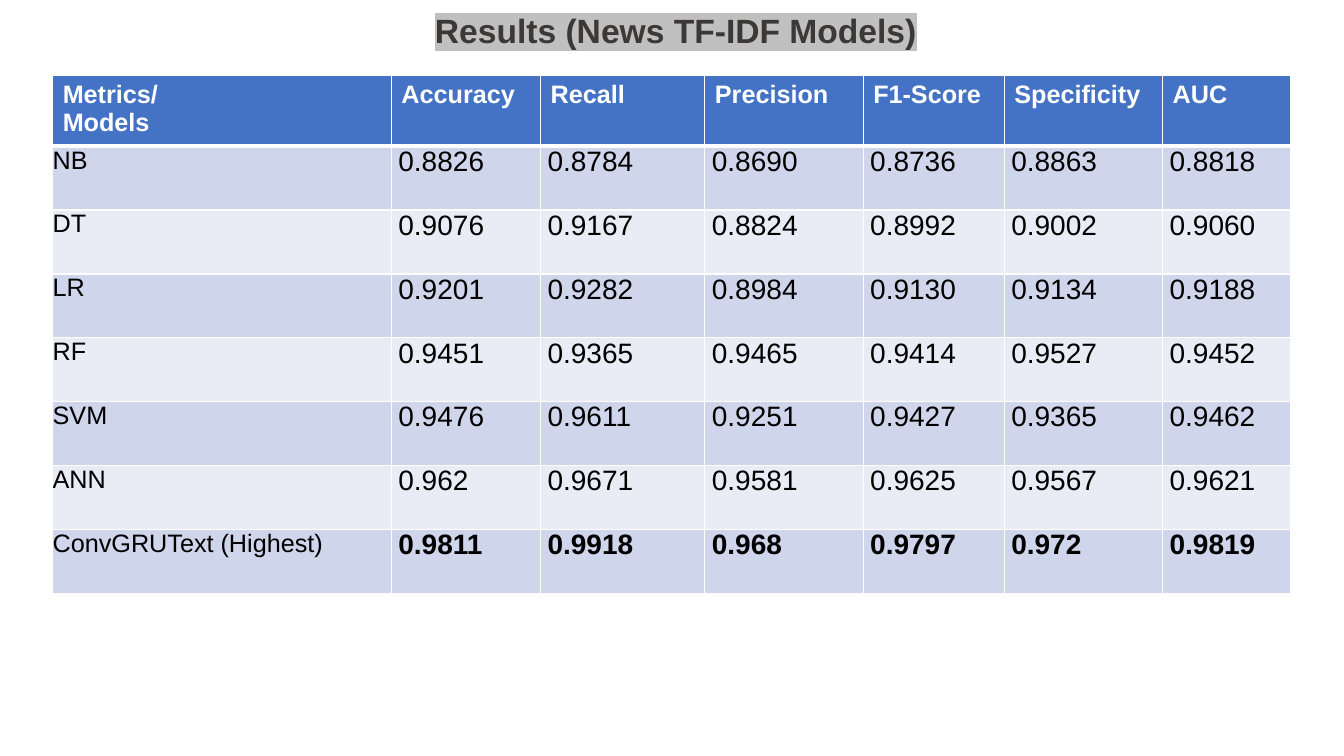
import pptx
import pptx.dml.color
import pptx.enum.text
import pptx.oxml.ns
import pptx.util
import lxml.etree

WHITE = pptx.dml.color.RGBColor(0xFF, 0xFF, 0xFF)
BLACK = pptx.dml.color.RGBColor(0x00, 0x00, 0x00)
TITLE_GREY = pptx.dml.color.RGBColor(0x3B, 0x38, 0x38)
HIGHLIGHT_GREY = pptx.dml.color.RGBColor(0xC0, 0xC0, 0xC0)
HEADER_BLUE = pptx.dml.color.RGBColor(0x44, 0x72, 0xC4)
BAND_COLORS = (
    pptx.dml.color.RGBColor(0xCF, 0xD5, 0xEA),
    pptx.dml.color.RGBColor(0xE9, 0xEB, 0xF5),
)
ALIGN = pptx.enum.text.PP_ALIGN

HEADER = ["Metrics/\nModels", "Accuracy", "Recall", "Precision", "F1-Score", "Specificity", "AUC"]
RESULTS = [
    ["NB", "0.8826", "0.8784", "0.8690", "0.8736", "0.8863", "0.8818"],
    ["DT", "0.9076", "0.9167", "0.8824", "0.8992", "0.9002", "0.9060"],
    ["LR", "0.9201", "0.9282", "0.8984", "0.9130", "0.9134", "0.9188"],
    ["RF", "0.9451", "0.9365", "0.9465", "0.9414", "0.9527", "0.9452"],
    ["SVM", "0.9476", "0.9611", "0.9251", "0.9427", "0.9365", "0.9462"],
    ["ANN", "0.962", "0.9671", "0.9581", "0.9625", "0.9567", "0.9621"],
    ["ConvGRUText (Highest)", "0.9811", "0.9918", "0.968", "0.9797", "0.972", "0.9819"],
]
COLUMN_PERCENTS = [25.2, 11.1, 12.23, 11.78, 10.5, 11.78, 9.52]
ROW_PERCENT = 8.45


def add_color(parent, tag, color):
    element = lxml.etree.SubElement(parent, pptx.oxml.ns.qn(tag))
    lxml.etree.SubElement(element, pptx.oxml.ns.qn("a:srgbClr"), val=str(color))
    return element


def write_text(frame, text, size=18, color=BLACK, bold=False, align=ALIGN.LEFT,
               space_after=0, highlight=None, font="Arial"):
    for index, line in enumerate(text.split("\n")):
        paragraph = frame.add_paragraph() if index else frame.paragraphs[0]
        paragraph.alignment = align
        paragraph.space_after = pptx.util.Pt(space_after)
        run = paragraph.add_run()
        run.text = line
        run.font.size = pptx.util.Pt(size)
        run.font.bold = bold
        run.font.color.rgb = color
        if highlight is not None:
            add_color(run.font._element, "a:highlight", highlight)
        run.font.name = font


class SlideBuilder:
    def __init__(self, presentation):
        self.width = presentation.slide_width
        self.height = presentation.slide_height
        self.slide = presentation.slides.add_slide(presentation.slide_layouts[6])

    def across(self, percent):
        return round(self.width * percent / 100)

    def down(self, percent):
        return round(self.height * percent / 100)

    def title(self, text, left, top, width, height):
        shape = self.slide.shapes.add_textbox(
            self.across(left), self.down(top), self.across(width), self.down(height))
        frame = shape.text_frame
        frame.word_wrap = True
        frame.margin_left = frame.margin_right = frame.margin_top = frame.margin_bottom = 0
        write_text(frame, text, size=24, color=TITLE_GREY, bold=True,
                   align=ALIGN.CENTER, highlight=HIGHLIGHT_GREY)

    def borders(self, cell, top=1, bottom=1):
        properties = cell._tc.get_or_add_tcPr()
        for side, points in (("L", 1), ("R", 1), ("T", top), ("B", bottom)):
            line = lxml.etree.SubElement(
                properties, pptx.oxml.ns.qn(f"a:ln{side}"), w=str(pptx.util.Pt(points)))
            add_color(line, "a:solidFill", WHITE)

    def cell(self, cell, fill, top=1, bottom=1):
        self.borders(cell, top, bottom)
        cell.fill.solid()
        cell.fill.fore_color.rgb = fill

    def results_table(self, left, top, header, results, columns, row):
        row_count = len(results) + 1
        table = self.slide.shapes.add_table(
            row_count, len(columns), self.across(left), self.down(top),
            self.across(sum(columns)), self.down(row * row_count)).table
        for column, percent in zip(table.columns, columns):
            column.width = self.across(percent)
        for table_row in table.rows:
            table_row.height = self.down(row)
        for index, name in enumerate(header):
            cell = table.cell(0, index)
            self.cell(cell, HEADER_BLUE, bottom=3)
            write_text(cell.text_frame, name, color=WHITE, bold=True)
        for row_index, values in enumerate(results, 1):
            for index, value in enumerate(values):
                cell = table.cell(row_index, index)
                self.cell(cell, BAND_COLORS[(row_index - 1) % 2], top=3 if row_index == 1 else 1)
                cell.margin_top = cell.margin_bottom = 0
                cell.margin_left = cell.margin_right = pptx.util.Inches(0.07 if index else 0)
                write_text(cell.text_frame, value, size=20 if index else 18,
                           bold=index > 0 and row_index == len(results),
                           align=ALIGN.JUSTIFY, space_after=6)


def main():
    presentation = pptx.Presentation()
    presentation.slide_width = pptx.util.Inches(13.33)
    presentation.slide_height = pptx.util.Inches(7.5)
    builder = SlideBuilder(presentation)
    builder.title("Results (News TF-IDF Models)", left=2.48, top=1.3, width=95.6, height=5.1)
    builder.results_table(3.92, 10, HEADER, RESULTS, COLUMN_PERCENTS, ROW_PERCENT)
    presentation.save("out.pptx")


if __name__ == "__main__":
    main()
